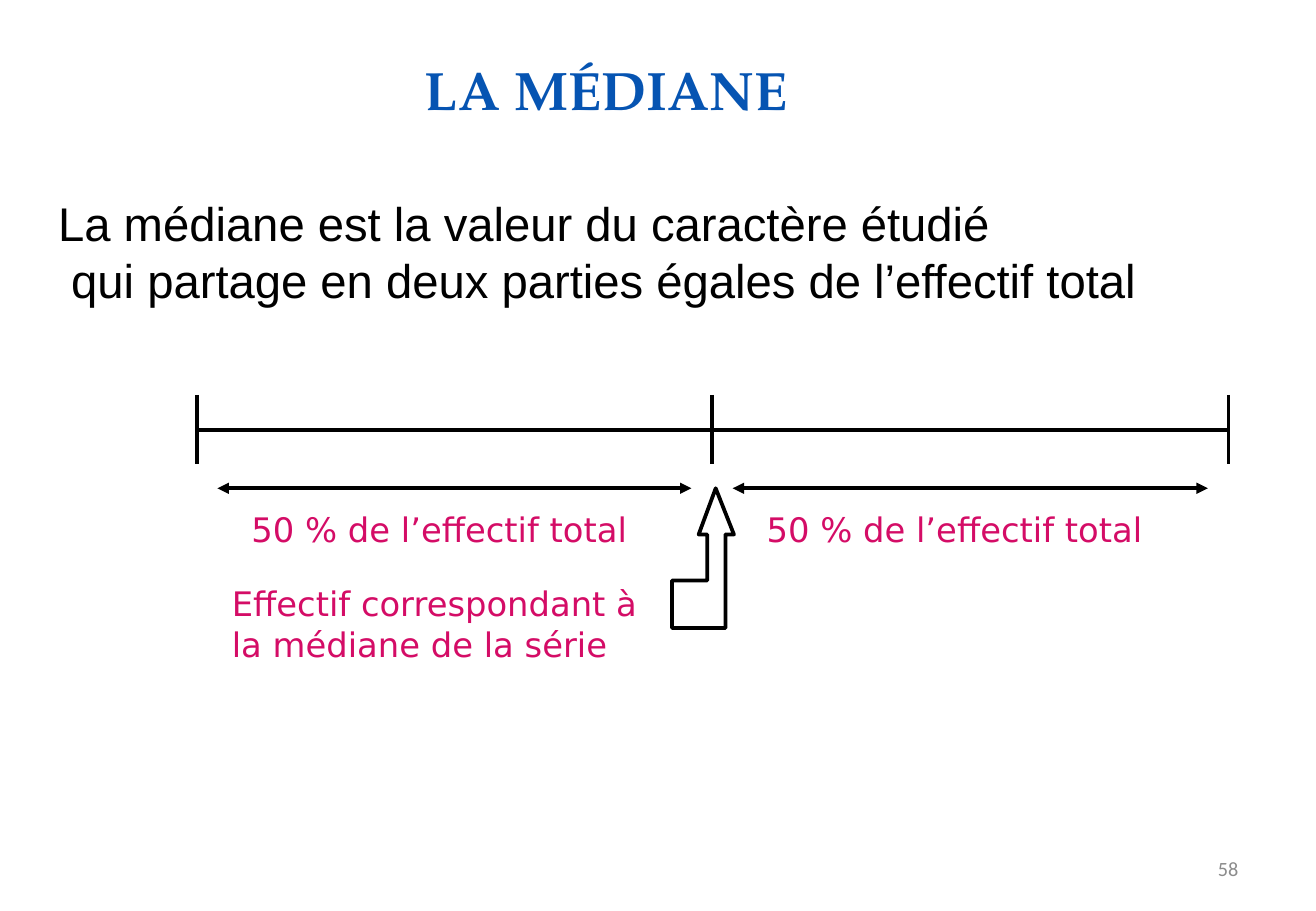
from dataclasses import dataclass
from itertools import pairwise

from lxml import etree
from pptx import Presentation
from pptx import util as u
from pptx.dml.color import RGBColor
from pptx.enum import shapes, text
from pptx.oxml import ns

PX = u.Inches(1) // 100


@dataclass(frozen=True)
class Style:
    """Font, size and colour of a text."""
    font: str
    size: int
    color: str
    bold: bool = False


@dataclass(frozen=True)
class Theme:
    """Colours and type styles of the slide."""
    ink: str = "000000"
    paper: str = "FFFFFF"
    stroke: float = 2.25
    title: Style = Style("TeX Gyre Pagella", 32, "0654B2", True)
    body: Style = Style("Arial", 28, "000000")
    label: Style = Style("DejaVu Sans", 20, "D40C66")
    number: Style = Style("Calibri", 12, "8C8C8C")


THEME = Theme()


def add_text(slide, box, lines, style, align=text.PP_ALIGN.LEFT, wrap=True,
             anchor=text.MSO_ANCHOR.TOP):
    """Place one paragraph per line in a text box."""
    frame = slide.shapes.add_textbox(*(n * PX for n in box)).text_frame
    frame.word_wrap = wrap
    frame.vertical_anchor = anchor
    if not wrap:
        frame.auto_size = text.MSO_AUTO_SIZE.SHAPE_TO_FIT_TEXT
    for index, line in enumerate(lines):
        paragraph = frame.add_paragraph() if index else frame.paragraphs[0]
        paragraph.alignment = align
        run = paragraph.add_run()
        run.text = line
        run.font.name = style.font
        run.font.size = u.Pt(style.size)
        run.font.bold = style.bold
        run.font.color.rgb = RGBColor.from_string(style.color)


def set_stroke(line):
    """Give a line or outline the theme's stroke."""
    line.color.rgb = RGBColor.from_string(THEME.ink)
    line.width = u.Pt(THEME.stroke)


def add_line(slide, x1, y1, x2, y2, arrows=False):
    """Draw a straight line, with arrowheads at both ends if asked."""
    connector = slide.shapes.add_connector(
        shapes.MSO_CONNECTOR.STRAIGHT, *(n * PX for n in (x1, y1, x2, y2)))
    set_stroke(connector.line)
    if arrows:
        for end in ("a:headEnd", "a:tailEnd"):
            etree.SubElement(connector.line._get_or_add_ln(), ns.qn(end), type="triangle")
    etree.SubElement(connector._element.spPr, ns.qn("a:effectLst"))


def add_bent_arrow(slide, left, top):
    """Draw the outlined arrow that turns up towards the median."""
    corners = [(36, 0), (22, 38), (29, 38), (29, 76), (0, 76),
               (0, 115), (44, 115), (44, 38), (51, 38)]
    start, *rest = [(left + x, top + y) for x, y in corners]
    builder = slide.shapes.build_freeform(*start, scale=PX)
    builder.add_line_segments(rest, close=True)
    arrow = builder.convert_to_shape()
    arrow.shadow.inherit = False
    arrow.fill.solid()
    arrow.fill.fore_color.rgb = RGBColor.from_string(THEME.paper)
    set_stroke(arrow.line)


def add_median_axis(slide, box):
    """Draw the axis cut in two equal halves, with its labels."""
    left, top, width, height = box
    middle, right = left + width // 2, left + width
    ticks = (left, middle, right)
    axis_y, span_y = top + 29, top + 77
    add_line(slide, left, axis_y, right, axis_y)
    for tick in ticks:
        add_line(slide, tick, top, tick, top + 57)
    for start, end in pairwise(ticks):
        add_line(slide, start + 17, span_y, end - 17, span_y, arrows=True)
        add_text(slide, (start + 35, top + 89, 335, 44),
                 ["50 % de l’effectif total"], THEME.label, wrap=False)
    add_bent_arrow(slide, middle - 33, span_y)
    add_text(slide, (left + 19, top + height - 77, 370, 77),
             ["Effectif correspondant à la médiane de la série"], THEME.label)


def add_median_slide(deck):
    """Build the slide that defines the median."""
    slide = deck.slides.add_slide(deck.slide_layouts[6])
    add_text(slide, (167, 42, 664, 64), ["LA MÉDIANE"], THEME.title,
             text.PP_ALIGN.CENTER)
    add_text(slide, (38, 155, 918, 104),
             ["La médiane est la valeur du caractère étudié",
              " qui partage en deux parties égales de l’effectif total"],
             THEME.body, wrap=False)
    add_median_axis(slide, (162, 325, 849, 227))
    add_text(slide, (776, 695, 253, 40), ["58"], THEME.number,
             text.PP_ALIGN.RIGHT, anchor=text.MSO_ANCHOR.MIDDLE)


def main():
    """Save the one-slide deck."""
    deck = Presentation()
    deck.slide_width, deck.slide_height = 1083 * PX, 750 * PX
    add_median_slide(deck)
    deck.save("out.pptx")


if __name__ == "__main__":
    main()
